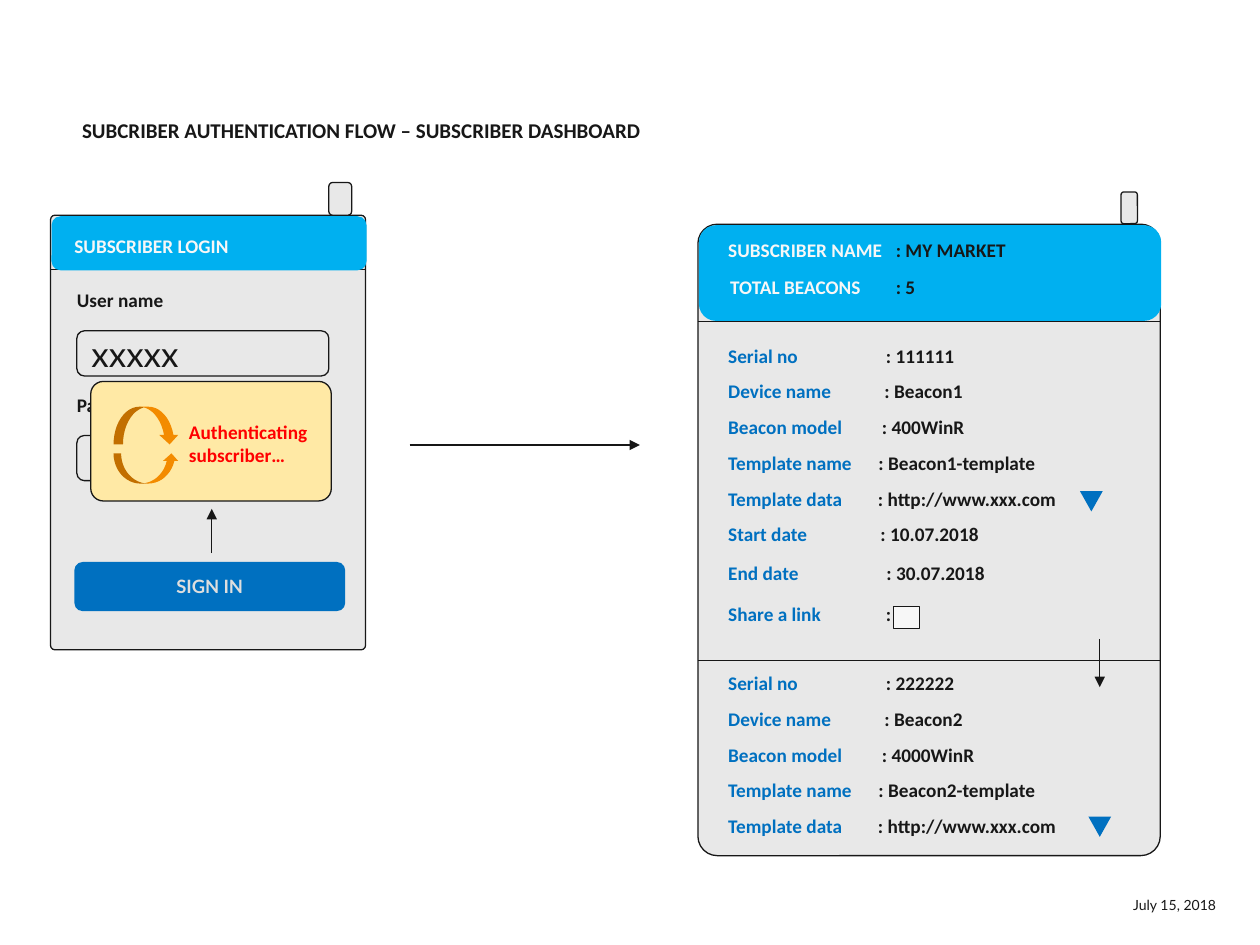
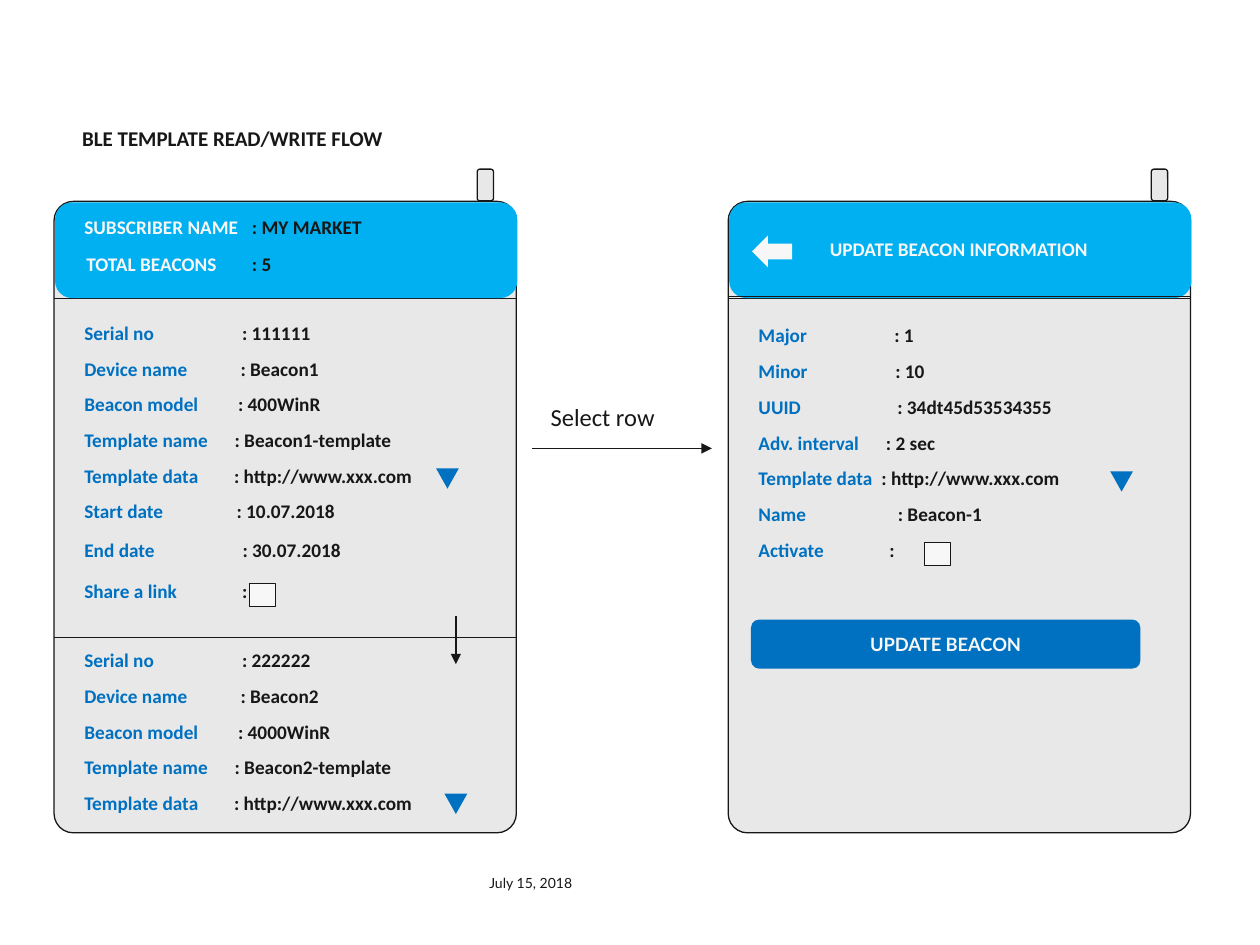
from lxml import etree
from pptx import Presentation, util as u
from pptx.dml.color import RGBColor
from pptx.enum import shapes, text
from pptx.oxml.ns import qn

Cm, Pt = u.Cm, u.Pt
G, AL, AN = shapes.MSO_SHAPE, text.PP_ALIGN, text.MSO_ANCHOR
INK, PAPER, GREY = "171717", "F7F7F7", "E8E8E8"
BLUE, SKY, AMBER, ORANGE = "0070C0", "00B0F0", "FFE9A5", "F38B00"
PANEL_W, PANEL_H, PITCH = 9.32, 12.73, 0.72
TAB_HEAD = 3.38

BEACON_1 = [
    ("Serial no", ": 111111", 3.18, 0),
    ("Device name", ": Beacon1", 3.15, 0),
    ("Beacon model", ": 400WinR", 3.1, 0),
    ("Template name", ": Beacon1-template", 3.03, 0),
    ("Template data", ": http://www.xxx.com", 3.02, 0),
    ("Start date", ": 10.07.2018", 3.07, 0),
    ("End date", ": 30.07.2018", 3.19, 0.06),
    ("Share a link", ":", 3.18, 0.1),
]
BEACON_2 = [
    ("Serial no", ": 222222", 3.18, 0),
    ("Device name", ": Beacon2", 3.15, 0),
    ("Beacon model", ": 4000WinR", 3.1, 0),
    ("Template name", ": Beacon2-template", 3.03, 0),
    ("Template data", ": http://www.xxx.com", 3.02, 0),
]
UPDATE = [
    ("Major", ": 1", 2.74, 0),
    ("Minor", ": 10", 2.76, 0),
    ("UUID", ": 34dt45d53534355", 2.8, 0),
    ("Adv. interval", ": 2 sec", 2.57, 0),
    ("Template data", ": http://www.xxx.com", 2.48, 0),
    ("Name", ": Beacon-1", 2.81, 0),
    ("Activate", ":", 2.64, 0),
]


def rgb(hex_code):
    return RGBColor.from_string(hex_code)


def style(p, size, font="Calibri", bold=True):
    p.font.size, p.font.name, p.font.bold = Pt(size), font, bold


def write(tf, runs, size=11, font="Calibri", bold=True, align=AL.LEFT, tab=None):
    p = tf.paragraphs[0]
    p.alignment = align
    style(p, size, font, bold)
    for words, color in runs:
        r = p.add_run()
        r.text = words
        r.font.color.rgb = rgb(color)
    if tab:
        tabs = etree.Element(qn("a:tabLst"))
        etree.SubElement(tabs, qn("a:tab"), pos=str(Cm(tab)), algn="l")
        p._p.get_or_add_pPr().insert(0, tabs)


def label(s, x, y, w, h, runs, **fmt):
    tf = s.shapes.add_textbox(Cm(x), Cm(y), Cm(w), Cm(h)).text_frame
    tf.word_wrap = True
    write(tf, runs, **fmt)
    return tf


def shape(s, kind, x, y, w, h, fill, line=None, adj=None):
    sp = s.shapes.add_shape(kind, Cm(x), Cm(y), Cm(w), Cm(h))
    sp.shadow.inherit = False
    sp.fill.solid()
    sp.fill.fore_color.rgb = rgb(fill)
    if line:
        sp.line.color.rgb = rgb(INK)
        sp.line.width = Pt(line)
    else:
        sp.line.fill.background()
    if adj is not None:
        sp.adjustments[0] = adj
    return sp


def line(s, x1, y1, x2, y2, arrow=False):
    cx = s.shapes.add_connector(shapes.MSO_CONNECTOR.STRAIGHT,
                                Cm(x1), Cm(y1), Cm(x2), Cm(y2))
    cx.line.color.rgb = rgb(INK)
    cx.line.width = Pt(0.75)
    if arrow:
        etree.SubElement(cx.line._get_or_add_ln(), qn("a:tailEnd"), type="triangle")
    etree.SubElement(cx._element.spPr, qn("a:effectLst"))


def button(s, x, y, w, words, color):
    tf = shape(s, G.ROUNDED_RECTANGLE, x, y, w, 0.99, BLUE).text_frame
    tf.word_wrap = False
    tf.vertical_anchor = AN.MIDDLE
    write(tf, [(words, color)], size=10.5, font="Lato", align=AL.CENTER)


def dropdown(s, x, y):
    shape(s, G.ISOSCELES_TRIANGLE, x, y, 0.46, 0.41, BLUE).rotation = 180


def checkbox(s, x, y):
    shape(s, G.RECTANGLE, x, y, 0.53, 0.46, PAPER, 0.5)


def fields(s, x, y, rows):
    for name, value, tab, extra in rows:
        y += extra
        label(s, x, y, 8.08, 0.74, [(name, BLUE), ("\t" + value, INK)], tab=tab)
        y += PITCH


def phone(s, x, y):
    shape(s, G.ROUNDED_RECTANGLE, x, y, PANEL_W, PANEL_H, GREY, 0.75, 0.042)
    shape(s, G.ROUNDED_RECTANGLE, x + 8.53, y - 0.65, 0.33, 0.64, GREY, 0.75)
    line(s, x, y + 1.96, x + PANEL_W, y + 1.96)
    shape(s, G.ROUNDED_RECTANGLE, x + 0.02, y + 0.02, PANEL_W, 1.93, SKY, adj=0.179)


def dashboard(s, x, y):
    phone(s, x, y)
    for dx, dy, name, value in ((0.36, 0.15, "SUBSCRIBER NAME", ": MY MARKET"),
                                (0.4, 0.91, "TOTAL BEACONS", ": 5")):
        label(s, x + dx, y + dy, 7.32, 0.74, [(name, PAPER), ("\t" + value, INK)],
              tab=TAB_HEAD + 0.36 - dx)
    fields(s, x + 0.36, y + 2.29, BEACON_1)
    checkbox(s, x + 3.94, y + 7.7)
    line(s, x, y + 8.79, x + PANEL_W, y + 8.79)
    fields(s, x + 0.36, y + 8.89, BEACON_2)
    line(s, x + 8.1, y + 8.36, x + 8.1, y + 9.33, arrow=True)
    dropdown(s, x + 7.7, y + 5.38)
    dropdown(s, x + 7.87, y + 11.94)


def update_form(s, x, y):
    phone(s, x, y)
    line(s, x, y + 1.91, x + PANEL_W, y + 1.91)
    label(s, x + 1.8, y + 0.6, 6.32, 0.74, [("UPDATE BEACON INFORMATION", PAPER)])
    shape(s, G.LEFT_ARROW, x + 0.48, y + 0.69, 0.81, 0.64, PAPER)
    fields(s, x + 0.36, y + 2.34, UPDATE)
    checkbox(s, x + 3.96, y + 6.88)
    dropdown(s, x + 7.7, y + 5.44)
    button(s, x + 0.46, y + 8.43, 7.85, "UPDATE BEACON", PAPER)


def login(s, x, y, w=6.35, h=8.76):
    shape(s, G.ROUNDED_RECTANGLE, x, y, w, h, GREY, 0.75, 0.014)
    shape(s, G.ROUNDED_RECTANGLE, x + 5.61, y - 0.66, 0.46, 0.66, GREY, 0.75)
    line(s, x, y + 1.09, x + w, y + 1.09)
    shape(s, G.ROUNDED_RECTANGLE, x + 0.02, y + 0.02, w, 1.09, SKY)
    label(s, x + 0.23, y + 0.25, 5.97, 0.74, [("SUBSCRIBER LOGIN", PAPER)])
    for dy, name, value in ((1.35, "User name", "xxxxx"), (3.46, "Password", "")):
        label(s, x + 0.28, y + dy, 5.97, 0.74, [(name, INK)])
        sp = shape(s, G.ROUNDED_RECTANGLE, x + 0.53, y + dy + 0.98, 5.08, 0.91, GREY, 0.75)
        if value:
            sp.text_frame.word_wrap = False
            sp.text_frame.vertical_anchor = AN.MIDDLE
            write(sp.text_frame, [(value, INK)], size=20, font="Lato", bold=False)
    button(s, x + 0.48, y + 6.99, 5.46, "SIGN IN", "DEDEDE")
    progress(s, x + 0.81, y + 3.35)
    line(s, x + 3.25, y + 6.81, x + 3.25, y + 5.92, arrow=True)


def progress(s, x, y):
    shape(s, G.ROUNDED_RECTANGLE, x, y, 4.85, 2.41, AMBER, 0.75, 0.105)
    shape(s, G.CURVED_DOWN_ARROW, x + 0.46, y + 0.51, 1.32, 0.76, ORANGE)
    shape(s, G.CURVED_UP_ARROW, x + 0.46, y + 1.45, 1.32, 0.61, ORANGE)
    label(s, x + 1.73, y + 0.66, 3.1, 1.19, [("Authenticating subscriber…", "FF0000")])


def new_slide(prs, title, w, h, date_x, date_y):
    s = prs.slides.add_slide(prs.slide_layouts[0])
    sub = s.placeholders[1]._element
    sub.getparent().remove(sub)
    sp = s.shapes.title
    sp.left, sp.top, sp.width, sp.height = Cm(1.4), Cm(2.31), Cm(w), Cm(h)
    sp.text_frame.vertical_anchor = AN.BOTTOM
    write(sp.text_frame, [(title, INK)], size=12)
    sp.text_frame.paragraphs[0].line_spacing = 0.9
    tf = label(s, date_x, date_y, 3.56, 0.43, [("July 15, 2018", INK)],
               size=8, font="Lato", bold=False, align=AL.RIGHT)
    tf.margin_top = tf.margin_bottom = 0
    tf.vertical_anchor = AN.BOTTOM
    return s


prs = Presentation()
prs.slide_width, prs.slide_height = Cm(25.4), Cm(19.05)

s = new_slide(prs, "SUBCRIBER AUTHENTICATION FLOW – SUBSCRIBER DASHBOARD",
              17.53, 0.71, 21.21, 17.98)
dashboard(s, 14.07, 4.52)
login(s, 1.02, 4.34)
line(s, 8.26, 8.97, 12.9, 8.97, arrow=True)

s = new_slide(prs, "BLE TEMPLATE READ/WRITE FLOW", 7.62, 0.86, 8.23, 17.53)
dashboard(s, 1.09, 4.06)
update_form(s, 14.68, 4.06)
line(s, 10.72, 9.04, 14.35, 9.04, arrow=True)
label(s, 10.85, 7.98, 3.23, 0.86, [("Select row", INK)], size=14, bold=False)

prs.save("out.pptx")
